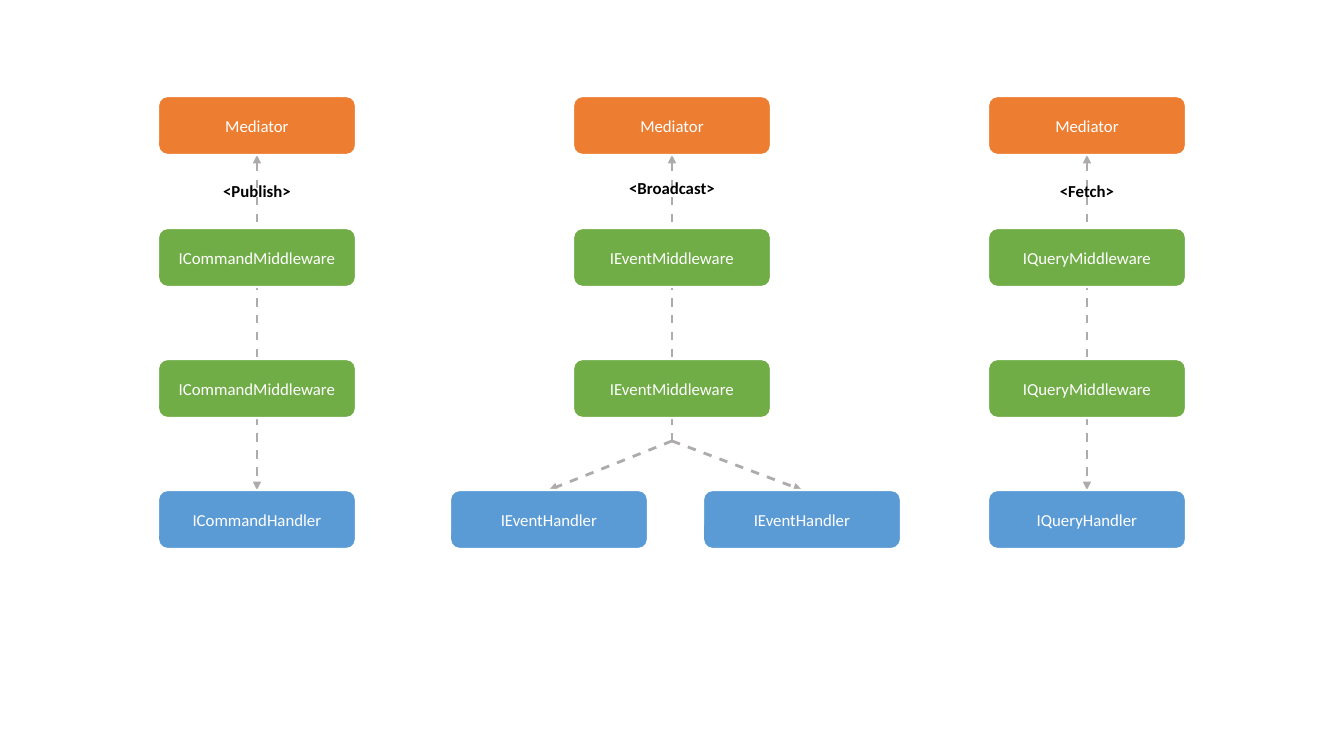
"""Build a slide showing how commands, events and queries pass through mediator pipelines."""
from lxml import etree
from pptx import Presentation
from pptx.dml.color import RGBColor
from pptx.enum.shapes import MSO_CONNECTOR, MSO_SHAPE
from pptx.enum.text import MSO_ANCHOR, MSO_AUTO_SIZE, PP_ALIGN
from pptx.oxml.ns import qn
from pptx.util import Pt

ORANGE = RGBColor(0xED, 0x7D, 0x31)
GREEN = RGBColor(0x70, 0xAD, 0x47)
BLUE = RGBColor(0x5B, 0x9B, 0xD5)
GRAY = RGBColor(0xAF, 0xAB, 0xAB)
WHITE = RGBColor(0xFF, 0xFF, 0xFF)
BLACK = RGBColor(0, 0, 0)
ROUNDED = MSO_SHAPE.ROUNDED_RECTANGLE
STRAIGHT = MSO_CONNECTOR.STRAIGHT
MIDDLE = MSO_ANCHOR.MIDDLE
CENTER = PP_ALIGN.CENTER
GROW = MSO_AUTO_SIZE.SHAPE_TO_FIT_TEXT

PIPELINES = [
    {"label": "<Publish>", "label_top": 176, "middleware": "ICommandMiddleware",
     "handler": "ICommandHandler", "handler_offsets": [0]},
    {"label": "<Broadcast>", "label_top": 173, "middleware": "IEventMiddleware",
     "handler": "IEventHandler", "handler_offsets": [130, -123]},
    {"label": "<Fetch>", "label_top": 176, "middleware": "IQueryMiddleware",
     "handler": "IQueryHandler", "handler_offsets": [0]},
]

SLIDE_W, SLIDE_H = 1344, 756
FIRST_CENTER, CENTER_STEP = 257, 415
MEDIATOR_TOP, *MIDDLEWARE_TOPS, HANDLER_TOP = 96, 228, 359, 490
BOX_W, BOX_H = 198, 59
LABEL_W, LABEL_H = 107, 30
FORK_Y = 441
EMU_PER_PX = 914400 / 100.8


def px(*lengths):
    return [round(length * EMU_PER_PX) for length in lengths]


def write(frame, text, color=WHITE, bold=False):
    frame.vertical_anchor = MIDDLE
    frame.word_wrap = True
    paragraph = frame.paragraphs[0]
    paragraph.alignment = CENTER
    run = paragraph.add_run()
    run.text = text
    run.font.name = "Calibri"
    run.font.size = Pt(12)
    run.font.bold = bold
    run.font.color.rgb = color


def add_box(parts, center, top, text, color):
    box = parts.add_shape(ROUNDED, *px(center - BOX_W / 2, top, BOX_W, BOX_H))
    box.shadow.inherit = False
    box.fill.solid()
    box.fill.fore_color.rgb = color
    box.line.color.rgb = WHITE
    box.line.width = Pt(1.5)
    write(box.text_frame, text)


def add_label(parts, center, top, text):
    label = parts.add_textbox(*px(center - LABEL_W / 2, top, LABEL_W, LABEL_H))
    write(label.text_frame, text, color=BLACK, bold=True)
    label.text_frame.auto_size = GROW


def add_dashed_line(parts, start, end, arrows):
    connector = parts.add_connector(STRAIGHT, *px(*start, *end))
    connector.line.color.rgb = GRAY
    connector.line.width = Pt(2)
    properties = connector.line._get_or_add_ln()
    dashes = etree.SubElement(properties, qn("a:custDash"))
    etree.SubElement(dashes, qn("a:ds"), d="300000", sp="300000")
    for arrow in arrows:
        etree.SubElement(properties, qn(arrow), type="triangle")
    etree.SubElement(connector._element.spPr, qn("a:effectLst"))


def add_pipeline(slide, center, pipeline):
    parts = slide.shapes.add_group_shape().shapes
    handler_centers = [center + offset for offset in pipeline["handler_offsets"]]
    forked = len(handler_centers) > 1
    top = (center, MEDIATOR_TOP + BOX_H)
    if forked:
        fork = (center, FORK_Y)
        add_dashed_line(parts, top, fork, ["a:headEnd"])
        for handler_center in handler_centers:
            add_dashed_line(parts, fork, (handler_center, HANDLER_TOP), ["a:tailEnd"])
    else:
        add_dashed_line(parts, top, (center, HANDLER_TOP), ["a:headEnd", "a:tailEnd"])

    add_box(parts, center, MEDIATOR_TOP, "Mediator", ORANGE)
    for middleware_top in MIDDLEWARE_TOPS:
        add_box(parts, center, middleware_top, pipeline["middleware"], GREEN)
    for handler_center in handler_centers:
        add_box(parts, handler_center, HANDLER_TOP, pipeline["handler"], BLUE)
    add_label(parts, center, pipeline["label_top"], pipeline["label"])


def main():
    deck = Presentation()
    deck.slide_width, deck.slide_height = px(SLIDE_W, SLIDE_H)
    slide = deck.slides.add_slide(deck.slide_layouts[6])
    for column, pipeline in enumerate(PIPELINES):
        add_pipeline(slide, FIRST_CENTER + column * CENTER_STEP, pipeline)
    deck.save("out.pptx")


if __name__ == "__main__":
    main()
